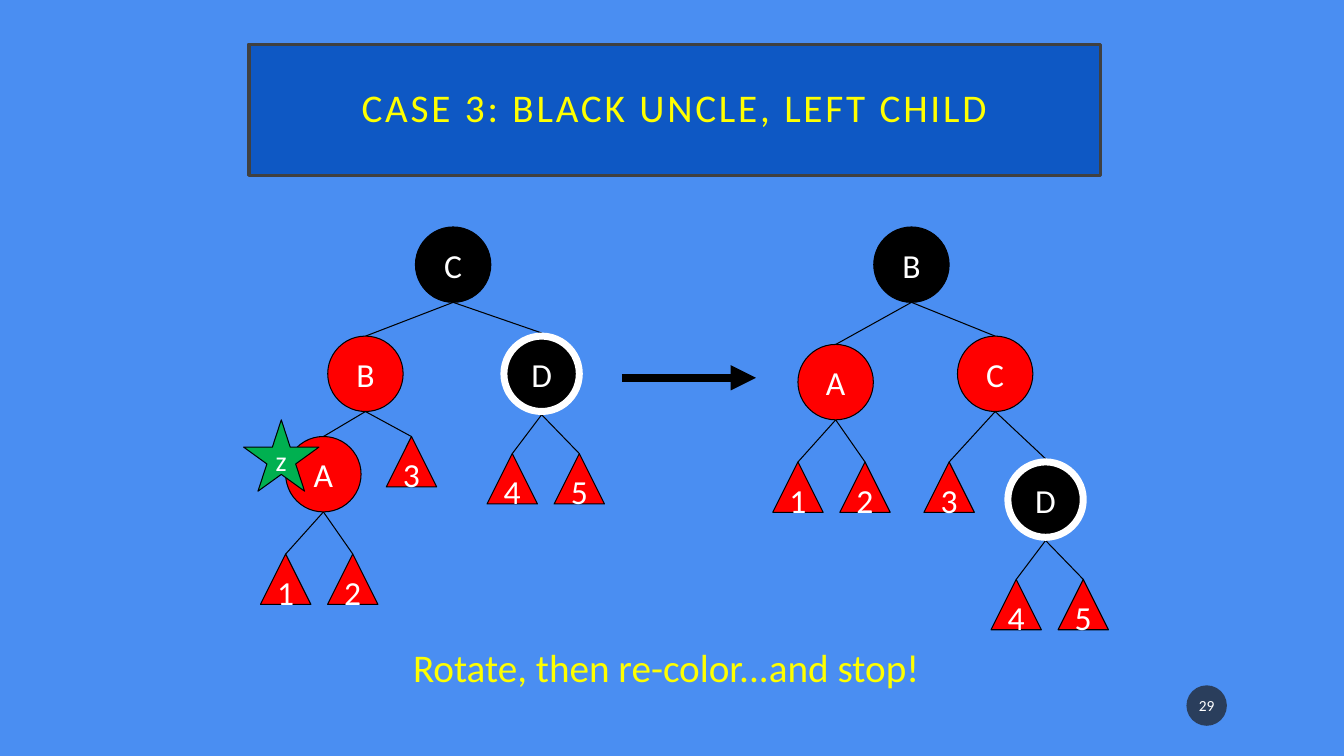
from dataclasses import dataclass

from lxml import etree
from pptx import Presentation
from pptx.dml.color import RGBColor
from pptx.enum.shapes import MSO_CONNECTOR as Connector, MSO_SHAPE as Shape
from pptx.enum.text import MSO_ANCHOR as Anchor, MSO_AUTO_SIZE as AutoSize, PP_ALIGN as Align
from pptx.oxml.ns import qn
from pptx.util import Cm, Pt

SKY = RGBColor(0x4A, 0x8E, 0xF2)
BANNER = RGBColor(0x0E, 0x58, 0xC4)
FRAME = RGBColor(0x40, 0x40, 0x40)
BADGE = RGBColor(0x1D, 0x1D, 0x1D)
YELLOW = RGBColor(0xFF, 0xFF, 0x00)
WHITE = RGBColor(0xFF, 0xFF, 0xFF)
BLACK = RGBColor(0, 0, 0)
RED = RGBColor(0xFF, 0, 0)
GREEN = RGBColor(0, 0xB0, 0x50)

NODE_SIZE = 1.9
SUBTREE_SIZE = 1.27
RING_WIDTH = 5
RING_OVERHANG = 0.08


@dataclass
class Node:
    """A tree node placed by its centre line and its top, in centimetres."""
    label: str
    centre: float
    top: float
    color: RGBColor = RED
    ringed: bool = False
    children: tuple = ()

    @property
    def overhang(self):
        return RING_OVERHANG if self.ringed else 0


def uncle(centre, top):
    """Black ringed node D with its subtrees 4 and 5."""
    subtree_top = top + 2.96
    return Node("D", centre, top, BLACK, True, (
        Node("4", centre - 0.74, subtree_top), Node("5", centre + 0.95, subtree_top)))


def new_child(centre, top):
    """Red node A with its subtrees 1 and 2."""
    subtree_top = top + 2.96
    return Node("A", centre, top, children=(
        Node("1", centre - 0.95, subtree_top), Node("2", centre + 0.74, subtree_top)))


BEFORE = Node("C", 11.42, 5.72, BLACK, children=(
    Node("B", 9.21, 8.47, children=(new_child(8.15, 11.0), Node("3", 10.37, 11.0))),
    uncle(13.65, 8.47)))
AFTER = Node("B", 22.97, 5.72, BLACK, children=(
    new_child(21.06, 8.68),
    Node("C", 25.08, 8.47, children=(Node("3", 23.92, 11.64), uncle(26.35, 11.64)))))


def write(shape, text, size, color, align=Align.CENTER):
    frame = shape.text_frame
    frame.word_wrap = False
    paragraph = frame.paragraphs[0]
    paragraph.text = text
    paragraph.alignment = align
    paragraph.font.name = "Calibri"
    paragraph.font.size = Pt(size)
    paragraph.font.color.rgb = color
    return frame


def add_figure(slide, kind, box, fill, text, size=24, color=WHITE, line=BLACK, width=0.75):
    shape = slide.shapes.add_shape(kind, *map(Cm, box))
    shape.shadow.inherit = False
    shape.fill.solid()
    shape.fill.fore_color.rgb = fill
    if line is None:
        shape.line.fill.background()
    else:
        shape.line.color.rgb = line
        shape.line.width = Pt(width)
    write(shape, text, size, color).vertical_anchor = Anchor.MIDDLE
    return shape


def add_line(slide, start, end, width=0.75):
    line = slide.shapes.add_connector(Connector.STRAIGHT, *map(Cm, start + end))
    line.line.color.rgb = BLACK
    line.line.width = Pt(width)
    etree.SubElement(line._element.spPr, qn("a:effectLst"))
    return line


def add_tree(slide, node):
    for child in node.children:
        add_line(slide, (node.centre, node.top + NODE_SIZE + node.overhang),
                 (child.centre, child.top - child.overhang))
        add_tree(slide, child)
    kind, size = (Shape.OVAL, NODE_SIZE) if node.children else (Shape.ISOSCELES_TRIANGLE, SUBTREE_SIZE)
    outline, width = (WHITE, RING_WIDTH) if node.ringed else (BLACK, 0.75)
    add_figure(slide, kind, (node.centre - size / 2, node.top, size, size), node.color,
               node.label, line=outline, width=width)


def add_title(slide):
    title = add_figure(slide, Shape.RECTANGLE, (6.27, 1.12, 21.46, 3.3), BANNER,
                       "CASE 3: BLACK UNCLE, LEFT CHILD", 28, YELLOW, FRAME, 2.5)
    frame = title.text_frame
    frame.word_wrap = True
    frame.margin_left = frame.margin_right = frame.margin_top = frame.margin_bottom = Cm(0.5)
    paragraph = frame.paragraphs[0]
    paragraph.line_spacing = 0.9
    paragraph.runs[0].font._element.set("spc", "200")


def add_page_number(slide):
    badge = add_figure(slide, Shape.OVAL, (29.9, 17.27, 1.02, 1.02), BADGE, "29", 11, line=None)
    badge.text_frame.margin_left = badge.text_frame.margin_right = Cm(0.05)
    color = badge._element.spPr.find(qn("a:solidFill"))[0]
    etree.SubElement(color, qn("a:alpha"), val="70000")


def add_rotation_arrow(slide):
    arrow = add_line(slide, (15.67, 9.52), (19.05, 9.52), 6)
    etree.SubElement(arrow.line._get_or_add_ln(), qn("a:tailEnd"), type="triangle")


def add_caption(slide):
    caption = slide.shapes.add_textbox(Cm(10.16), Cm(16.08), Cm(13.41), Cm(1.45))
    frame = write(caption, "Rotate, then re-color...and stop!", 28, YELLOW, Align.LEFT)
    frame.auto_size = AutoSize.SHAPE_TO_FIT_TEXT


def main():
    deck = Presentation()
    deck.slide_width, deck.slide_height = Cm(33.87), Cm(19.05)
    slide = deck.slides.add_slide(deck.slide_layouts[6])
    slide.background.fill.solid()
    slide.background.fill.fore_color.rgb = SKY

    add_page_number(slide)
    add_title(slide)
    add_tree(slide, BEFORE)
    add_figure(slide, Shape.STAR_5_POINT, (6.14, 10.58, 1.9, 1.8), GREEN, "z", 20)
    add_tree(slide, AFTER)
    add_rotation_arrow(slide)
    add_caption(slide)
    deck.save("out.pptx")


if __name__ == "__main__":
    main()
